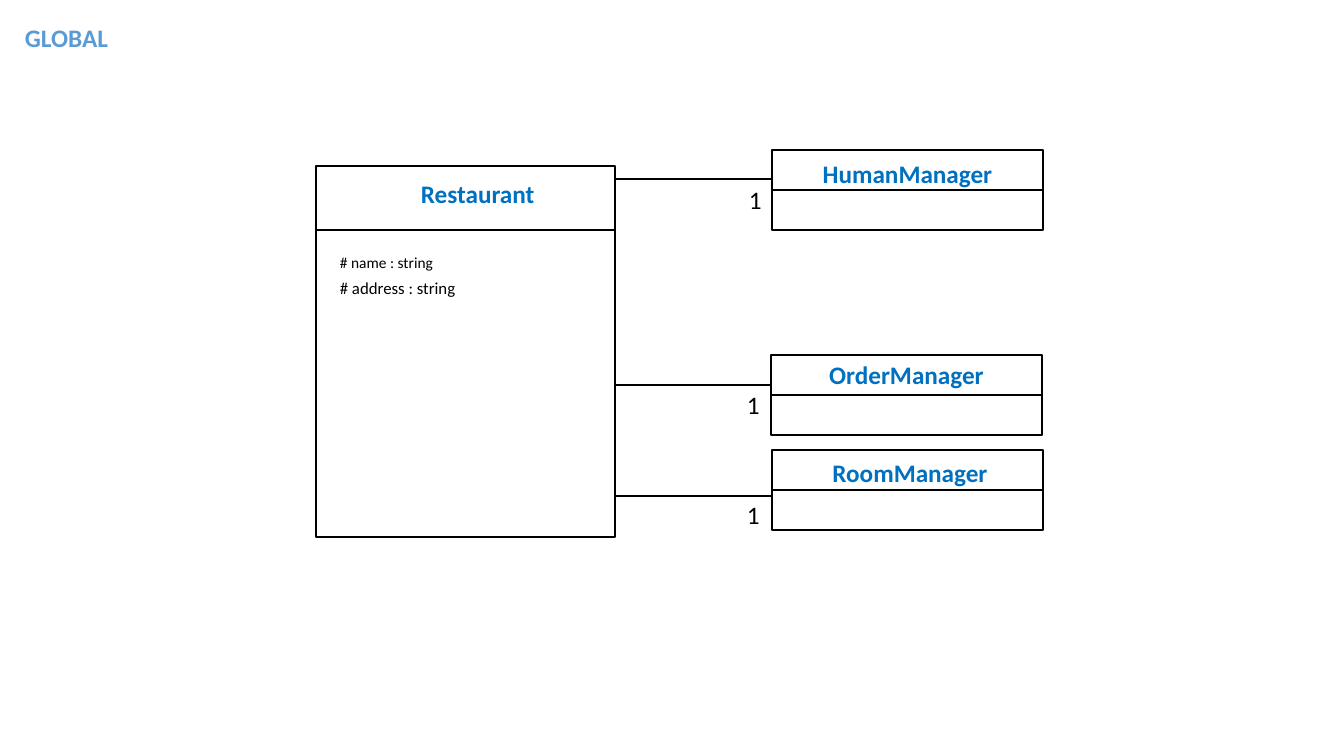
import pptx
import pptx.dml.color
import pptx.enum.shapes
import pptx.enum.text
import pptx.oxml
import pptx.util

PIXEL = 914400 / 100.8
WHITE = pptx.dml.color.RGBColor(0xFF, 0xFF, 0xFF)
BLACK = pptx.dml.color.RGBColor(0x00, 0x00, 0x00)
CLASS_BLUE = pptx.dml.color.RGBColor(0x00, 0x70, 0xC0)
HEADING_BLUE = pptx.dml.color.RGBColor(0x5B, 0x9B, 0xD5)

MANAGER_WIDTH, MANAGER_HEIGHT = 271, 80
# name, left, top, title left, title top, link start, link y, multiplicity left, top
MANAGERS = [
    ("HumanManager", 772, 150, 772, 153, 615, 179, 739, 179),
    ("OrderManager", 771, 355, 771, 354, 615, 385, 737, 384),
    ("RoomManager", 772, 450, 777, 452, 616, 496, 737, 494),
]


def px(pixels):
    """Turn pixels into EMU."""
    return pptx.util.Emu(round(pixels * PIXEL))


def add_line(slide, left, right, y):
    """Draw a horizontal black line."""
    line = slide.shapes.add_connector(
        pptx.enum.shapes.MSO_CONNECTOR.STRAIGHT, px(left), px(y), px(right), px(y))
    line.line.color.rgb = BLACK
    line.line.width = pptx.util.Pt(1)
    line._element.spPr.append(pptx.oxml.parse_xml(
        '<a:effectLst xmlns:a="http://schemas.openxmlformats.org/drawingml/2006/main"/>'))


def add_class_box(slide, left, top, width, height, header_height):
    """Draw a class frame with a line below its header."""
    frame = slide.shapes.add_shape(
        pptx.enum.shapes.MSO_SHAPE.RECTANGLE, px(left), px(top), px(width), px(height))
    frame.shadow.inherit = False
    frame.fill.solid()
    frame.fill.fore_color.rgb = WHITE
    frame.line.color.rgb = BLACK
    frame.line.width = pptx.util.Pt(1)
    add_line(slide, left, left + width, top + header_height)


def add_label(slide, text, left, top, width, height=40, size=18, color=BLACK,
              bold=False, centered=False):
    """Add one line of text; centred labels keep to the width of their box."""
    label = slide.shapes.add_textbox(px(left), px(top), px(width), px(height))
    label.text_frame.word_wrap = centered
    label.text_frame.auto_size = pptx.enum.text.MSO_AUTO_SIZE.SHAPE_TO_FIT_TEXT
    paragraph = label.text_frame.paragraphs[0]
    paragraph.text = text
    if centered:
        paragraph.alignment = pptx.enum.text.PP_ALIGN.CENTER
    paragraph.font.name = "Calibri"
    paragraph.font.size = pptx.util.Pt(size)
    paragraph.font.bold = bold
    paragraph.font.color.rgb = color


def add_manager(slide, name, left, top, title_left, title_top, link_start, link_y,
                multiplicity_left, multiplicity_top):
    """Add a manager class with its link to the restaurant."""
    add_class_box(slide, left, top, MANAGER_WIDTH, MANAGER_HEIGHT, MANAGER_HEIGHT / 2)
    add_label(slide, name, title_left, title_top, left + MANAGER_WIDTH - title_left,
              color=CLASS_BLUE, bold=True, centered=True)
    add_line(slide, link_start, left, link_y)
    add_label(slide, "1", multiplicity_left, multiplicity_top, 32)


def main():
    """Build the class diagram."""
    presentation = pptx.Presentation()
    presentation.slide_width = px(1344)
    presentation.slide_height = px(756)
    slide = presentation.slides.add_slide(presentation.slide_layouts[6])

    add_label(slide, "GLOBAL", 15, 17, 104, color=HEADING_BLUE, bold=True)
    add_class_box(slide, 316, 166, 299, 371, 64)
    add_label(slide, "Restaurant", 411, 173, 135, color=CLASS_BLUE, bold=True)
    add_label(slide, "# name : string", 330, 248, 114, 29, size=11)
    add_label(slide, "# address : string", 330, 273, 137, 30, size=12)
    for manager in MANAGERS:
        add_manager(slide, *manager)

    presentation.save("out.pptx")


main()
